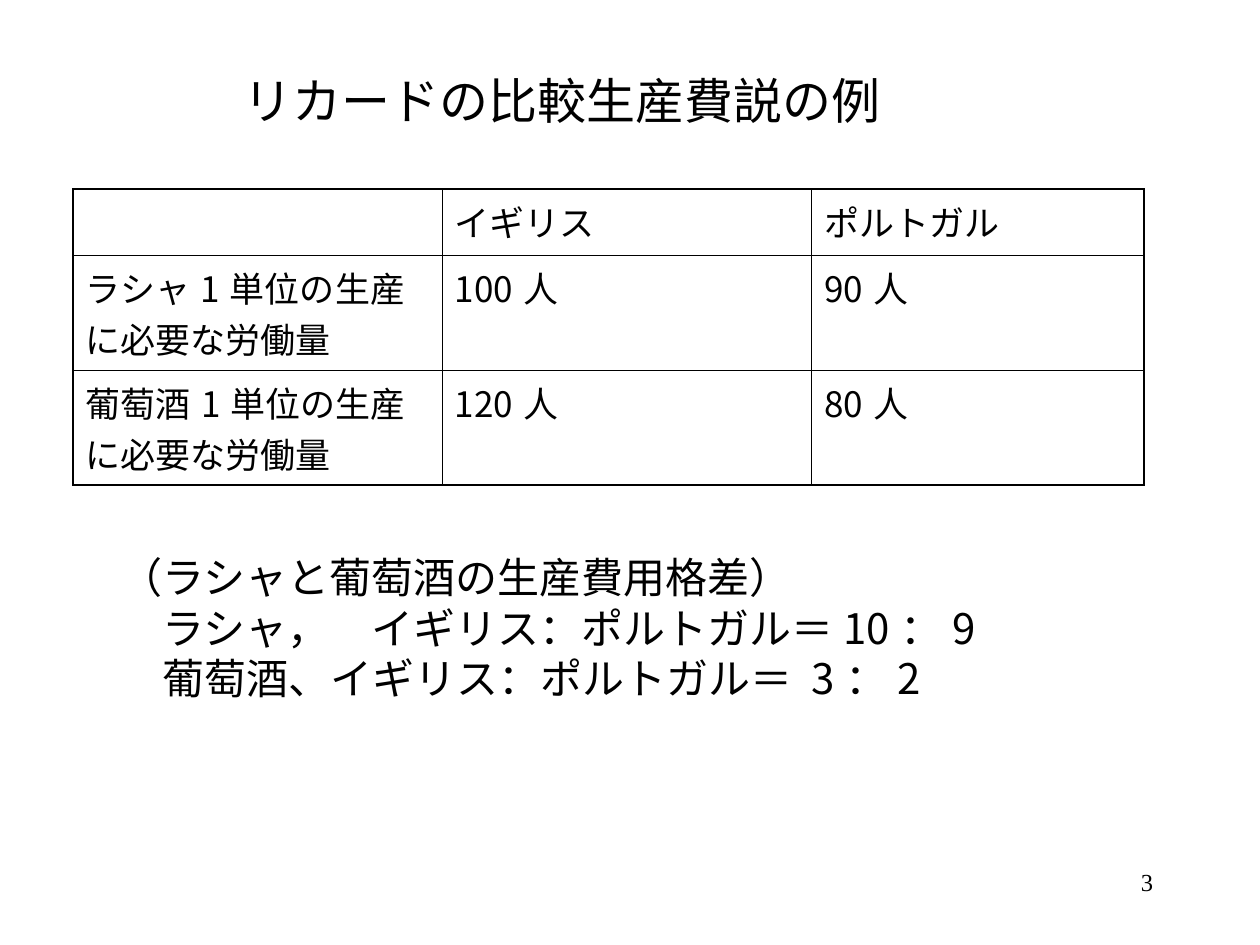
"""Build the slide on Ricardo's comparative cost example."""
from dataclasses import dataclass

from pptx import Presentation
from pptx.dml.color import RGBColor
from pptx.enum.text import MSO_ANCHOR as Anchor, PP_ALIGN as Align
from pptx.oxml.ns import qn
from pptx.oxml.xmlchemy import OxmlElement as Element
from pptx.util import Inches, Pt


@dataclass(frozen=True)
class Theme:
    ink: str = "000000"
    sans: str = "Noto Sans CJK JP"
    serif: str = "Times New Roman"
    title: int = 28
    body: int = 24
    cell: int = 20
    number: int = 14
    outer_line: float = 1.08
    inner_line: float = 0.45


def write(para, text, *, size, font, east_font, color, align=Align.LEFT, indent=0):
    para.alignment = align
    if indent:
        para._p.get_or_add_pPr().set("marL", str(Inches(indent)))
    span = para.add_run()
    span.text = text
    span.font.size = Pt(size)
    span.font.name = font
    span.font.color.rgb = RGBColor.from_string(color)
    east = Element("a:ea")
    east.set("typeface", east_font)
    span.font._element.find(qn("a:latin")).addnext(east)


class SlideBuilder:
    def __init__(self, slide, theme):
        self.slide = slide
        self.theme = theme

    def text(self, area, lines, *, size, font, anchor=Anchor.TOP, top_margin=0.05,
             align=Align.LEFT, indents=None):
        frame = self.slide.shapes.add_textbox(*map(Inches, area)).text_frame
        frame.word_wrap = True
        frame.vertical_anchor = anchor
        frame.margin_top = Inches(top_margin)
        for index, line in enumerate(lines):
            para = frame.add_paragraph() if index else frame.paragraphs[0]
            write(para, line, size=size, font=font, east_font=self.theme.sans,
                  color=self.theme.ink, align=align,
                  indent=indents[index] if indents else 0)

    def border(self, cell, side, width):
        line = Element(f"a:ln{side}")
        line.set("w", str(Pt(width)))
        fill = Element("a:solidFill")
        color = Element("a:srgbClr")
        color.set("val", self.theme.ink)
        fill.append(color)
        line.append(fill)
        cell._tc.get_or_add_tcPr().append(line)

    def table(self, left, top, widths, heights, rows):
        theme = self.theme
        last_row, last_column = len(heights) - 1, len(widths) - 1
        table = self.slide.shapes.add_table(
            len(heights), len(widths), Inches(left), Inches(top),
            Inches(sum(widths)), Inches(sum(heights))).table
        table.first_row = table.horz_banding = False
        for column, width in zip(table.columns, widths):
            column.width = Inches(width)
        for row, height in zip(table.rows, heights):
            row.height = Inches(height)
        for r, values in enumerate(rows):
            for c, value in enumerate(values):
                cell = table.cell(r, c)
                edges = {"L": c == 0, "R": c == last_column,
                         "T": r == 0, "B": r == last_row}
                for side, outer in edges.items():
                    self.border(cell, side, theme.outer_line if outer else theme.inner_line)
                cell.fill.background()
                if value:
                    write(cell.text_frame.paragraphs[0], value, size=theme.cell,
                          font=theme.sans, east_font=theme.sans, color=theme.ink)


def main():
    theme = Theme()
    deck = Presentation()
    deck.slide_width, deck.slide_height = Inches(10), Inches(7.5)
    page = SlideBuilder(deck.slides.add_slide(deck.slide_layouts[6]), theme)

    page.text((7.17, 6.83, 2.08, 0.5), ["3"], size=theme.number,
              font=theme.serif, align=Align.RIGHT)
    page.text((1.25, 0.42, 6.42, 0.75), ["リカードの比較生産費説の例"], size=theme.title,
              font=theme.serif, anchor=Anchor.MIDDLE, align=Align.CENTER)
    page.text((0.86, 4.38, 7.67, 1.5),
              ["（ラシャと葡萄酒の生産費用格差）",
               "ラシャ，　イギリス：ポルトガル＝10：9",
               "葡萄酒、イギリス：ポルトガル＝ 3：2"],
              size=theme.body, font=theme.sans, top_margin=0, indents=(0, 0.33, 0.33))
    page.table(0.58, 1.5, (2.93, 2.93, 2.64), (0.53, 0.91, 0.91),
               [("", "イギリス", "ポルトガル"),
                ("ラシャ1単位の生産に必要な労働量", "100人", "90人"),
                ("葡萄酒1単位の生産に必要な労働量", "120人", "80人")])
    deck.save("out.pptx")


if __name__ == "__main__":
    main()
